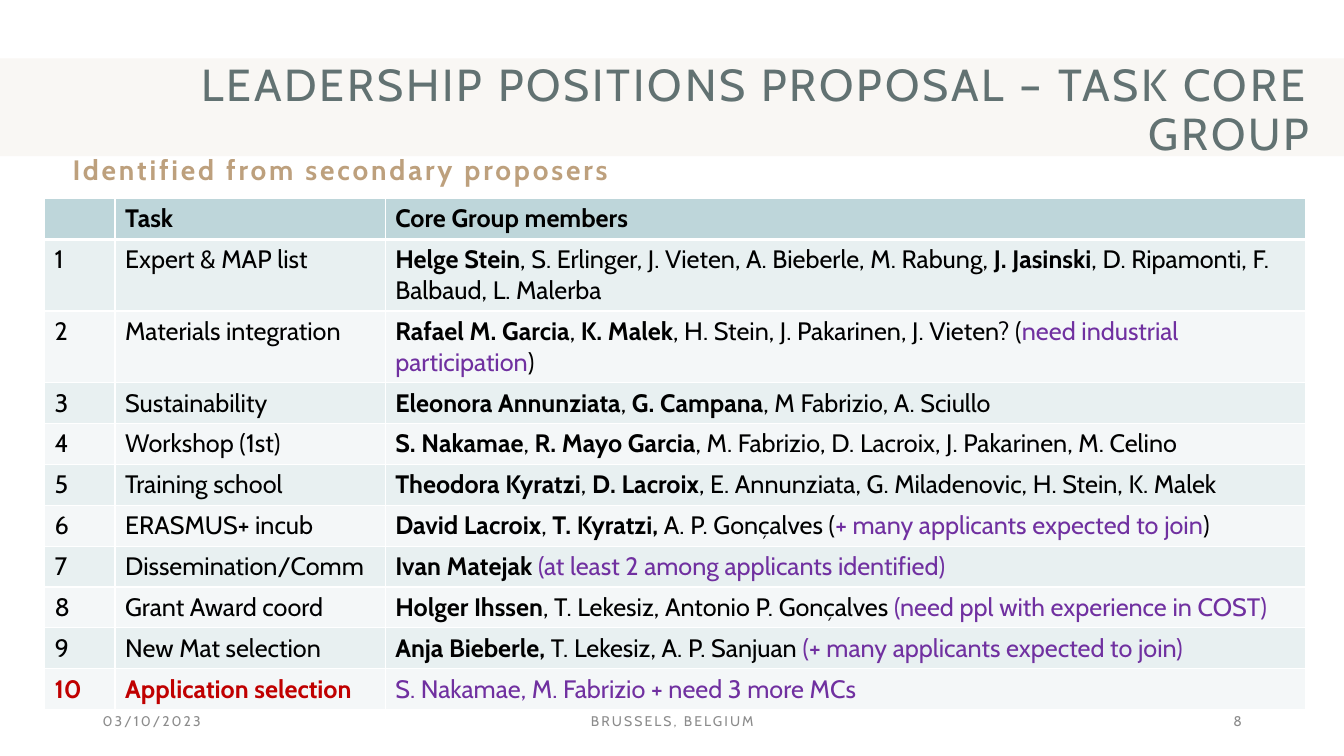
import pptx
import pptx.util
import pptx.dml.color
import pptx.enum.shapes
import pptx.enum.text
import pptx.oxml
import pptx.oxml.ns

Pt = pptx.util.Pt
ALIGN = pptx.enum.text.PP_ALIGN
ANCHOR = pptx.enum.text.MSO_ANCHOR

FONT = "Cabin"
BLACK, PURPLE, RED, WHITE = "000000", "7030A0", "C00000", "FFFFFF"
HEAD, BANDS = "BED6DA", ("E8F0F1", "F4F7F8")

TITLE = "LEADERSHIP POSITIONS PROPOSAL – TASK CORE GROUP"
LEAD = "Identified from secondary proposers"

# *bold*, ~purple~
TASKS = [
    ("Expert & MAP list", "*Helge Stein*, S. Erlinger, J. Vieten, A. Bieberle, M. Rabung, "
     "*J. Jasinski*, D. Ripamonti, F. Balbaud, L. Malerba"),
    ("Materials integration", "*Rafael M. Garcia*, *K. Malek*, H. Stein, J. Pakarinen, "
     "J. Vieten? (~need industrial participation~)"),
    ("Sustainability", "*Eleonora Annunziata*, *G. Campana*, M Fabrizio, A. Sciullo"),
    ("Workshop (1st)", "*S. Nakamae*, *R. Mayo Garcia*, M. Fabrizio, D. Lacroix, "
     "J. Pakarinen, M. Celino"),
    ("Training school", "*Theodora Kyratzi*, *D. Lacroix*, E. Annunziata, "
     "G. Miladenovic, H. Stein, K. Malek"),
    ("ERASMUS+ incub", "*David Lacroix*, *T. Kyratzi, *A. P. Gonçalves "
     "(~+ many applicants expected to join~)"),
    ("Dissemination/Comm", "*Ivan Matejak *~(at least 2 among applicants identified)~"),
    ("Grant Award coord", "*Holger Ihssen*, T. Lekesiz, Antonio P. Gonçalves "
     "~(need ppl with experience in COST)~"),
    ("New Mat selection", "*Anja Bieberle,* T. Lekesiz, A. P. Sanjuan "
     "~(+ many applicants expected to join)~"),
    ("*Application selection*", "~S. Nakamae, M. Fabrizio + need 3 more MCs~"),
]
FOOTS = [
    ("03/10/2023", 66.24, 216, ALIGN.LEFT),
    ("BRUSSELS, BELGIUM", 318.24, 324, ALIGN.CENTER),
    ("8", 678.24, 216, ALIGN.RIGHT),
]
COLS = (50.4, 193, 657.3)
ROW, TALL = 29.2, 363.6


def paint(target, color):
    target.rgb = pptx.dml.color.RGBColor.from_string(color)


def fill(target, color):
    target.fill.solid()
    paint(target.fill.fore_color, color)


def add_run(para, text, size, color, bold=False, gap=0):
    run = para.add_run()
    run.text = text
    for key, value in {"name": FONT, "size": Pt(size), "bold": bold}.items():
        setattr(run.font, key, value)
    paint(run.font.color, color)
    if gap:
        run._r.get_or_add_rPr().set("spc", str(int(gap * 100)))


def set_text(shape, text, anchor, align, size, color, bold=False, gap=0, lead=1):
    frame = shape.text_frame
    form = {"word_wrap": True, "auto_size": pptx.enum.text.MSO_AUTO_SIZE.NONE,
            "vertical_anchor": anchor}
    for key, value in form.items():
        setattr(frame, key, value)
    para = frame.paragraphs[0]
    form = {"alignment": align, "line_spacing": lead, "space_before": Pt(0)}
    for key, value in form.items():
        setattr(para, key, value)
    add_run(para, text, size, color, bold, gap)
    return para


def place(shape, *box):
    for key, value in zip(("left", "top", "width", "height"), box):
        setattr(shape, key, Pt(value))


def add_xml(parent, text):
    parent.append(pptx.oxml.parse_xml(text.replace(
        " NS", " " + pptx.oxml.ns.nsdecls("a"), 1)))


def set_cell(cell, text, shade, color, head):
    """Fill a cell, turning the * and ~ marks into bold and purple runs."""
    props = cell._tc.get_or_add_tcPr()
    for side in "LRTB":
        wide = 3 if side == "B" and head else 1
        add_xml(props, f'<a:ln{side} NS w="{wide * 12700}"><a:solidFill>'
                f'<a:srgbClr val="{WHITE}"/></a:solidFill></a:ln{side}>')
    fill(cell, shade)
    para = cell.text_frame.paragraphs[0]
    for i, part in enumerate(text.split("*")):
        for j, bit in enumerate(part.split("~")):
            if bit:
                add_run(para, bit, 18, PURPLE if j % 2 else color, i % 2 == 1)


def add_tasks(slide):
    rows = [("", "*Task*", "*Core Group members*")]
    rows += [(str(n), *task) for n, task in enumerate(TASKS, 1)]
    rows[-1] = ("*10*", *TASKS[-1])
    frame = slide.shapes.add_table(len(rows), len(COLS), Pt(31.8), Pt(141.8),
                                   Pt(sum(COLS)), Pt(ROW * len(rows)))
    table = frame.table
    for col, width in zip(table.columns, COLS):
        col.width = Pt(width)
    for r, row in enumerate(rows):
        table.rows[r].height = Pt(ROW)
        shade = BANDS[(r - 1) % 2] if r else HEAD
        color = RED if r == len(TASKS) else BLACK
        for c, text in enumerate(row):
            set_cell(table.cell(r, c), text, shade, color, r == 0)
    frame.height = Pt(TALL)


def main():
    deck = pptx.Presentation()
    deck.slide_width, deck.slide_height = Pt(960), Pt(540)
    slide = deck.slides.add_slide(deck.slide_layouts[1])

    band = slide.shapes.add_shape(pptx.enum.shapes.MSO_SHAPE.RECTANGLE,
                                  0, Pt(41.76), Pt(960), Pt(69.84))
    band.shadow.inherit = False
    fill(band, "D8CAB7")
    tint = band.element.find(".//" + pptx.oxml.ns.qn("a:srgbClr"))
    add_xml(tint, '<a:alpha NS val="15000"/>')
    band.line.fill.background()
    band.element.getparent().insert(2, band.element)

    title, body = slide.placeholders
    place(title, 26.64, 51.12, 915.84, 56.88)
    set_text(title, TITLE, ANCHOR.MIDDLE, ALIGN.RIGHT, 32, "627272", gap=2, lead=0.9)

    for text, left, width, align in FOOTS:
        box = slide.shapes.add_textbox(Pt(left), Pt(500.4), Pt(width), Pt(28.8))
        set_text(box, text, ANCHOR.MIDDLE, align, 10, "8C8C8C", gap=1.5)

    add_tasks(slide)

    place(body, 44.64, 108, 685.44, 33.12)
    para = set_text(body, LEAD, ANCHOR.TOP, ALIGN.LEFT, 20, "BDA07D", True, 2, 0.9)
    props = para._p.get_or_add_pPr()
    props.set("marL", "0")
    props.set("indent", "0")
    add_xml(props, "<a:buNone NS/>")

    deck.save("out.pptx")


if __name__ == "__main__":
    main()
